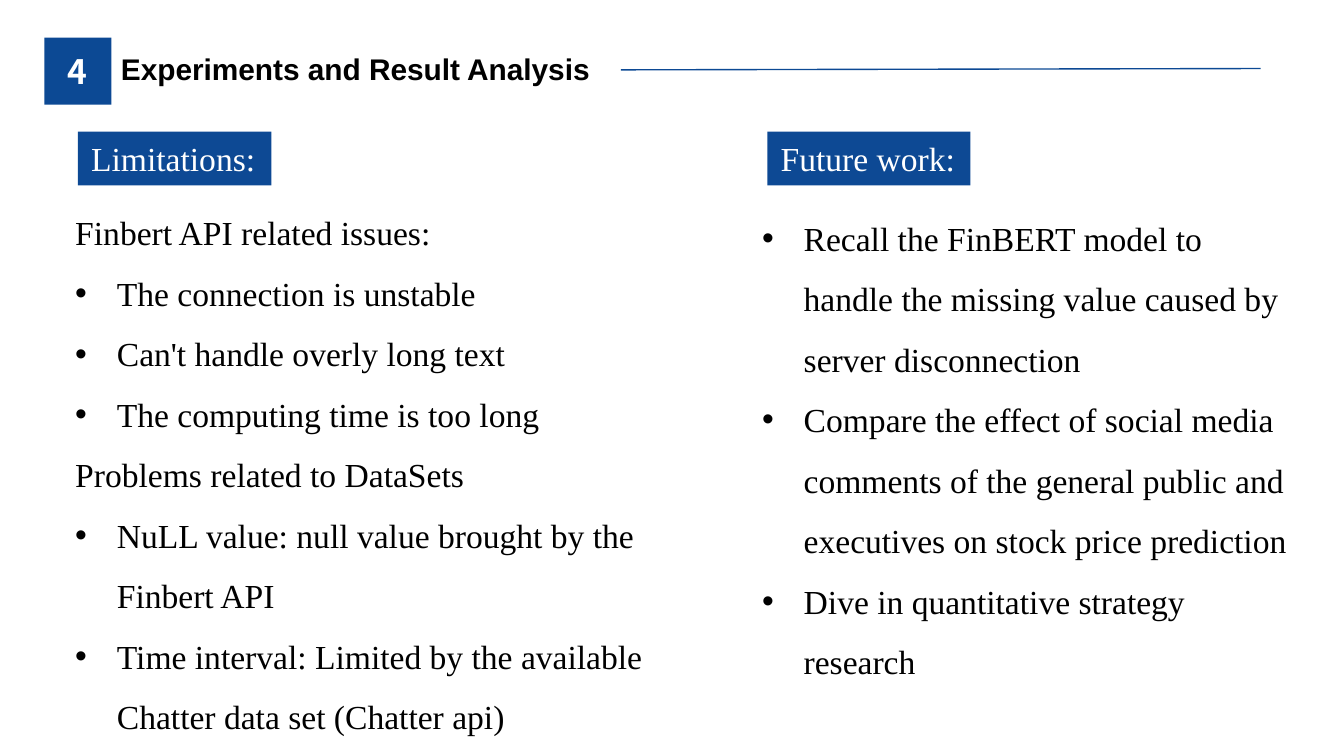
from lxml import etree
from pptx import Presentation
from pptx.dml.color import RGBColor
from pptx.enum.shapes import MSO_CONNECTOR, MSO_SHAPE
from pptx.enum.text import MSO_ANCHOR, MSO_AUTO_SIZE, PP_ALIGN
from pptx.oxml.ns import qn
from pptx.util import Inches, Pt

RECT, STRAIGHT = MSO_SHAPE.RECTANGLE, MSO_CONNECTOR.STRAIGHT
TOP, MIDDLE = MSO_ANCHOR.TOP, MSO_ANCHOR.MIDDLE
LEFT, CENTER = PP_ALIGN.LEFT, PP_ALIGN.CENTER
NO_AUTOFIT = MSO_AUTO_SIZE.NONE

BADGE_BLUE = RGBColor(0x0C, 0x49, 0x94)
LABEL_BLUE = RGBColor(0x0D, 0x49, 0x94)
WHITE = RGBColor(0xFF, 0xFF, 0xFF)
BLACK = RGBColor(0, 0, 0)

SERIF = "Times New Roman"
HEADER_INSETS = (0.07, 0.04)
BODY_INSETS = (0.1, 0.05)
INDENT = 0.31
LABEL_TOP, LABEL_HEIGHT = 0.98, 0.4

# Each item is (is bulleted, text).
LIMITATIONS = [
    (False, "Finbert API related issues:"),
    (True, "The connection is unstable"),
    (True, "Can't handle overly long text"),
    (True, "The computing time is too long"),
    (False, "Problems related to DataSets"),
    (True, "NuLL value: null value brought by the Finbert API"),
    (True, "Time interval: Limited by the available "
           "Chatter data set (Chatter api)"),
]
FUTURE_WORK = [
    (True, "Recall the FinBERT model to handle the missing value "
           "caused by server disconnection"),
    (True, "Compare the effect of social media comments of the general "
           "public and executives on stock price prediction"),
    (True, "Dive in quantitative strategy research"),
]


def place(sp, box):
    sp.left, sp.top, sp.width, sp.height = map(Inches, box)


def setup_frame(tf, insets, anchor=TOP, wrap=True):
    tf.auto_size = NO_AUTOFIT
    tf.word_wrap = wrap
    tf.vertical_anchor = anchor
    tf.margin_left = tf.margin_right = Inches(insets[0])
    tf.margin_top = tf.margin_bottom = Inches(insets[1])


def format_runs(p, font, size, color, bold=False):
    for r in p.runs:
        r.font.name = font
        r.font.size = Pt(size)
        r.font.color.rgb = color
        r.font.bold = bold


def set_bullet(p, bulleted):
    """Turn the bullet on with a hanging indent, or off and flush left."""
    pPr = p._p.get_or_add_pPr()
    indent = Inches(INDENT) if bulleted else 0
    pPr.set("marL", str(indent))
    pPr.set("indent", str(-indent))
    if not bulleted:
        etree.SubElement(pPr, qn("a:buNone"))
        return
    color = etree.SubElement(pPr, qn("a:buClr"))
    etree.SubElement(color, qn("a:srgbClr"), val=str(BLACK))
    etree.SubElement(pPr, qn("a:buFont"), typeface="Arial")
    etree.SubElement(pPr, qn("a:buChar"), char="•")


def add_block(s, box, fill):
    sp = s.shapes.add_shape(RECT, *map(Inches, box))
    sp.shadow.inherit = False
    sp.fill.solid()
    sp.fill.fore_color.rgb = fill
    sp.line.fill.background()
    return sp


def add_section_number(s, number):
    add_block(s, (0.33, 0.28, 0.5, 0.5), BADGE_BLUE)
    sp = s.shapes.add_textbox(*map(Inches, (0.31, 0.34, 0.53, 0.38)))
    setup_frame(sp.text_frame, HEADER_INSETS)
    p = sp.text_frame.paragraphs[0]
    p.text = number
    p.alignment = CENTER
    format_runs(p, "Noto Sans CJK SC", 18, WHITE, bold=True)


def set_title(s, text):
    sp = s.shapes.title
    place(sp, (0.83, 0.34, 3.79, 0.34))
    setup_frame(sp.text_frame, HEADER_INSETS)
    p = sp.text_frame.paragraphs[0]
    p.text = text
    p.alignment = LEFT
    format_runs(p, "Arial", 16, BLACK, bold=True)


def add_header_rule(s):
    rule = s.shapes.add_connector(
        STRAIGHT, *map(Inches, (4.62, 0.52, 9.38, 0.51)))
    rule.line.color.rgb = BADGE_BLUE
    rule.line.width = Pt(0.75)
    etree.SubElement(rule._element.spPr, qn("a:effectLst"))


def add_label(s, left, width, text):
    sp = add_block(s, (left, LABEL_TOP, width, LABEL_HEIGHT), LABEL_BLUE)
    setup_frame(sp.text_frame, BODY_INSETS, MIDDLE, wrap=False)
    p = sp.text_frame.paragraphs[0]
    p.text = text
    p.alignment = LEFT
    format_runs(p, SERIF, 18, WHITE)


def fill_list(sp, box, items):
    place(sp, box)
    tf = sp.text_frame
    setup_frame(tf, BODY_INSETS)
    tf.text = "\n".join(text for _, text in items)
    for p, (bulleted, _) in zip(tf.paragraphs, items):
        p.line_spacing = 1.5
        p.space_before = Pt(0)
        set_bullet(p, bulleted)
        format_runs(p, SERIF, 18, BLACK)


def main():
    prs = Presentation()
    prs.slide_width = Inches(10)
    prs.slide_height = prs.slide_width * 9 // 16
    two_content = prs.slide_layouts[3]
    s = prs.slides.add_slide(two_content)

    add_section_number(s, "4")
    set_title(s, "Experiments and Result Analysis")
    add_header_rule(s)

    add_label(s, 0.58, 1.44, "Limitations:")
    fill_list(s.placeholders[1], (0.46, 1.38, 4.91, 4.14), LIMITATIONS)
    add_label(s, 5.71, 1.51, "Future work:")
    fill_list(s.placeholders[2], (5.57, 1.42, 4.17, 3.68), FUTURE_WORK)

    prs.save("out.pptx")


if __name__ == "__main__":
    main()
